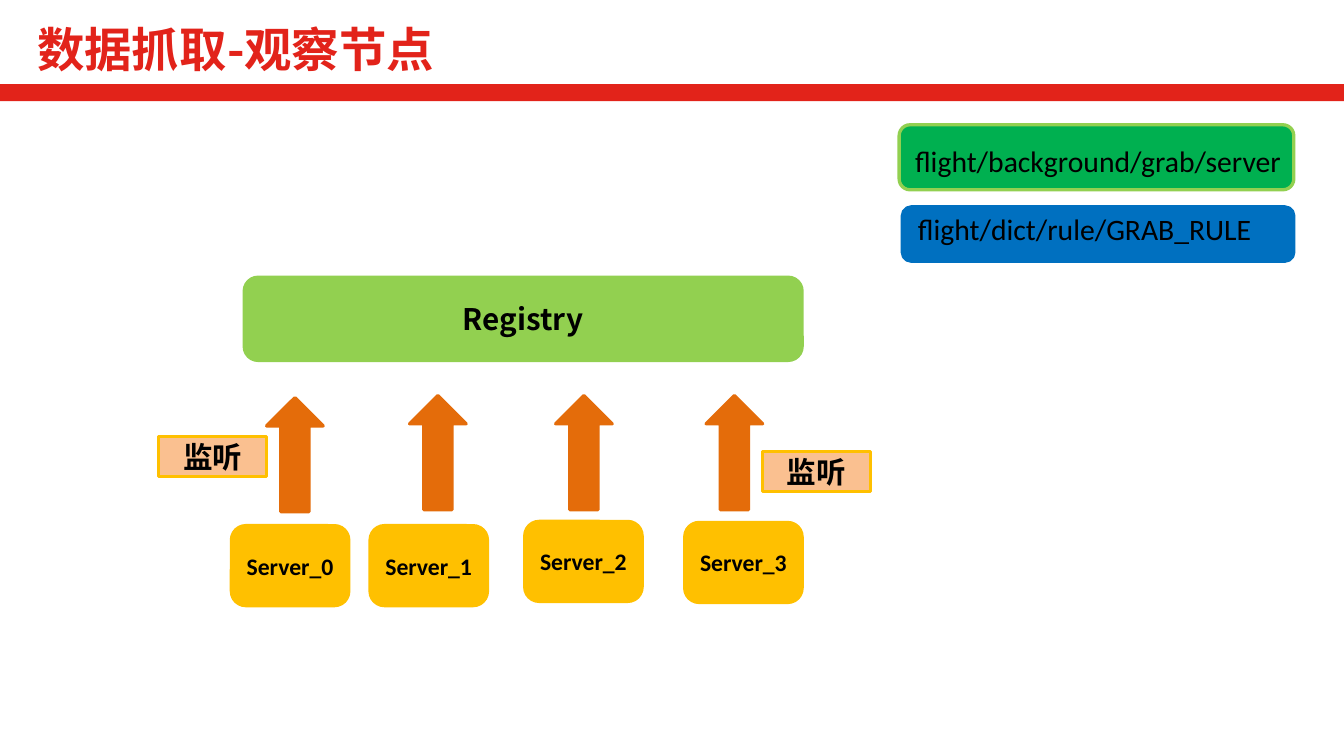
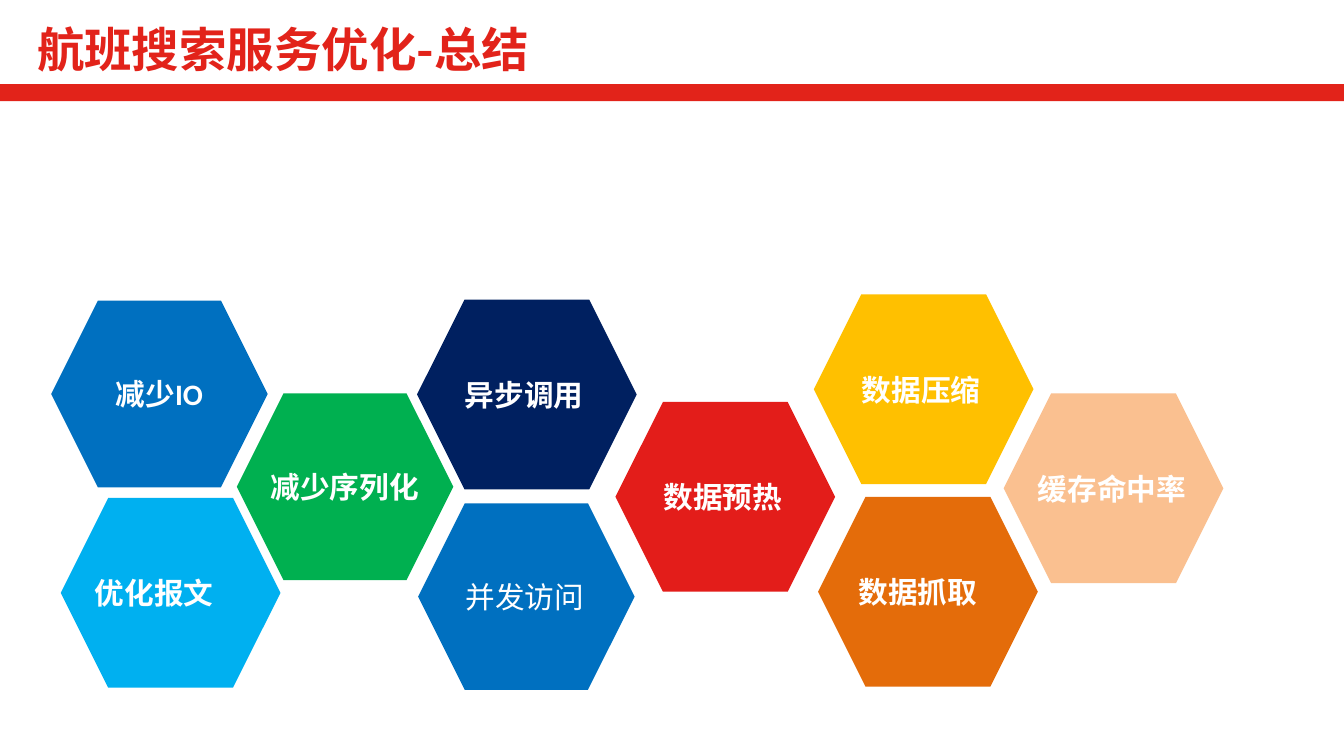
import pptx
import pptx.util
import pptx.dml.color
import pptx.enum.shapes
import pptx.enum.text
import pptx.oxml.ns
import lxml.etree

Inches = pptx.util.Inches
Pt = pptx.util.Pt
RGBColor = pptx.dml.color.RGBColor
Shape = pptx.enum.shapes.MSO_SHAPE
Align = pptx.enum.text.PP_ALIGN
Anchor = pptx.enum.text.MSO_ANCHOR

BRAND_RED = RGBColor(0xE2, 0x23, 0x1A)
RED = RGBColor(0xE3, 0x1D, 0x1A)
LIME = RGBColor(0x92, 0xD0, 0x50)
GREEN = RGBColor(0x00, 0xB0, 0x50)
BLUE = RGBColor(0x00, 0x70, 0xC0)
SKY = RGBColor(0x00, 0xB0, 0xF0)
NAVY = RGBColor(0x00, 0x20, 0x60)
AMBER = RGBColor(0xFF, 0xC0, 0x00)
ORANGE = RGBColor(0xE4, 0x6C, 0x0A)
PEACH = RGBColor(0xFA, 0xC0, 0x90)
BLACK = RGBColor(0x00, 0x00, 0x00)
WHITE = RGBColor(0xFF, 0xFF, 0xFF)

LATIN_FONT = "Calibri"
CJK_FONT = "Noto Sans CJK SC"
SLIDE_WIDTH, SLIDE_HEIGHT = 12.6, 7.09
LARGE_HEXAGON = (2.06, 1.78)
SMALL_HEXAGON = (2.03, 1.75)


def write_text(shape, text, size, color=BLACK, bold=True, font=LATIN_FONT, align=Align.CENTER):
    shape.text_frame.text = text
    paragraph = shape.text_frame.paragraphs[0]
    paragraph.alignment = align
    run = paragraph.runs[0]
    run.font.size = Pt(size)
    run.font.bold = bold
    run.font.color.rgb = color
    run.font.name = font
    east_asian = lxml.etree.SubElement(run.font._element, pptx.oxml.ns.qn("a:ea"))
    east_asian.set("typeface", CJK_FONT)


def add_block(slide, kind, left, top, width, height, fill, line=None, line_width=2.25):
    shape = slide.shapes.add_shape(kind, Inches(left), Inches(top), Inches(width), Inches(height))
    shape.shadow.inherit = False
    shape.fill.solid()
    shape.fill.fore_color.rgb = fill
    if line is None:
        shape.line.fill.background()
    else:
        shape.line.color.rgb = line
        shape.line.width = Pt(line_width)
    shape.text_frame.vertical_anchor = Anchor.MIDDLE
    shape.text_frame.word_wrap = True
    return shape


def add_text_box(slide, left, top, width, height):
    return slide.shapes.add_textbox(Inches(left), Inches(top), Inches(width), Inches(height))


def add_titled_slide(presentation, title):
    slide = presentation.slides.add_slide(presentation.slide_layouts[6])
    add_block(slide, Shape.RECTANGLE, 0, 0.79, SLIDE_WIDTH, 0.16, BRAND_RED)
    box = add_text_box(slide, 0.25, 0.14, 6.69, 0.71)
    box.text_frame.word_wrap = True
    box.text_frame.margin_top = Inches(0.05)
    box.text_frame.margin_bottom = 0
    write_text(box, title, 32, BRAND_RED, font=CJK_FONT, align=Align.LEFT)
    return slide


def add_server(slide, name, left, top):
    server = add_block(slide, Shape.ROUNDED_RECTANGLE, left, top, 1.1, 0.75, AMBER, AMBER)
    server.adjustments[0] = 0.18
    write_text(server, name, 16)


def add_up_arrow(slide, left, top):
    arrow = add_block(slide, Shape.RIGHT_ARROW, left, top, 1.07, 0.53, ORANGE, ORANGE)
    arrow.rotation = 270


def add_listener(slide, left, top):
    listener = add_block(slide, Shape.RECTANGLE, left, top, 1.01, 0.38, PEACH, AMBER, 2)
    write_text(listener, "监听", 20)


def add_node_path(slide, text, left, top, width):
    label = add_text_box(slide, left, top, width, 0.44)
    label.text_frame.word_wrap = False
    write_text(label, text, 20, bold=False)


def add_hexagon(slide, text, left, top, size, fill, indent=0, bold=True,
                font=CJK_FONT, align=Align.LEFT):
    hexagon = add_block(slide, Shape.HEXAGON, left, top, *size, fill)
    frame = hexagon.text_frame
    frame.margin_left = Inches(indent)
    frame.margin_right = 0
    frame.margin_top = frame.margin_bottom = Inches(0.03)
    write_text(hexagon, text, 20, WHITE, bold, font, align)


def build_watch_slide(presentation):
    slide = add_titled_slide(presentation, "数据抓取-观察节点")
    registry = add_block(slide, Shape.ROUNDED_RECTANGLE, 2.29, 2.6, 5.23, 0.78, LIME, LIME)
    write_text(registry, "Registry", 20, font=CJK_FONT)
    servers = [(2.17, 4.93), (3.47, 4.93), (4.92, 4.89), (6.42, 4.9)]
    for index, (left, top) in enumerate(servers):
        add_server(slide, f"Server_{index}", left, top)
    for left, top in [(2.23, 4), (3.57, 3.98), (4.94, 3.98), (6.35, 3.98)]:
        add_up_arrow(slide, left, top)
    for left, top in [(1.49, 4.09), (7.15, 4.23)]:
        add_listener(slide, left, top)
    add_block(slide, Shape.ROUNDED_RECTANGLE, 8.43, 1.17, 3.7, 0.61, GREEN, LIME)
    add_block(slide, Shape.ROUNDED_RECTANGLE, 8.46, 1.94, 3.67, 0.51, BLUE, BLUE)
    add_node_path(slide, "flight/background/grab/server", 8.46, 1.29, 3.67)
    add_node_path(slide, "flight/dict/rule/GRAB_RULE", 8.49, 1.93, 3.36)


def build_summary_slide(presentation):
    slide = add_titled_slide(presentation, "航班搜索服务优化-总结")
    add_hexagon(slide, "减少IO", 0.48, 2.82, SMALL_HEXAGON, BLUE,
                font=LATIN_FONT, align=Align.CENTER)
    add_hexagon(slide, "减少序列化", 2.22, 3.69, SMALL_HEXAGON, GREEN)
    add_hexagon(slide, "优化报文", 0.57, 4.67, LARGE_HEXAGON, SKY)
    add_hexagon(slide, "并发访问", 3.92, 4.72, SMALL_HEXAGON, BLUE, indent=0.13, bold=False)
    add_hexagon(slide, "异步调用", 3.91, 2.81, LARGE_HEXAGON, NAVY, indent=0.13)
    add_hexagon(slide, "缓存命中率", 9.41, 3.69, LARGE_HEXAGON, PEACH)
    add_hexagon(slide, "数据预热", 5.77, 3.77, LARGE_HEXAGON, RED, indent=0.13)
    add_hexagon(slide, "数据压缩", 7.63, 2.76, LARGE_HEXAGON, AMBER, indent=0.13)
    add_hexagon(slide, "数据抓取", 7.67, 4.66, LARGE_HEXAGON, ORANGE, indent=0.06)


def main():
    presentation = pptx.Presentation()
    presentation.slide_width = Inches(SLIDE_WIDTH)
    presentation.slide_height = Inches(SLIDE_HEIGHT)
    build_watch_slide(presentation)
    build_summary_slide(presentation)
    presentation.save("out.pptx")


if __name__ == "__main__":
    main()
